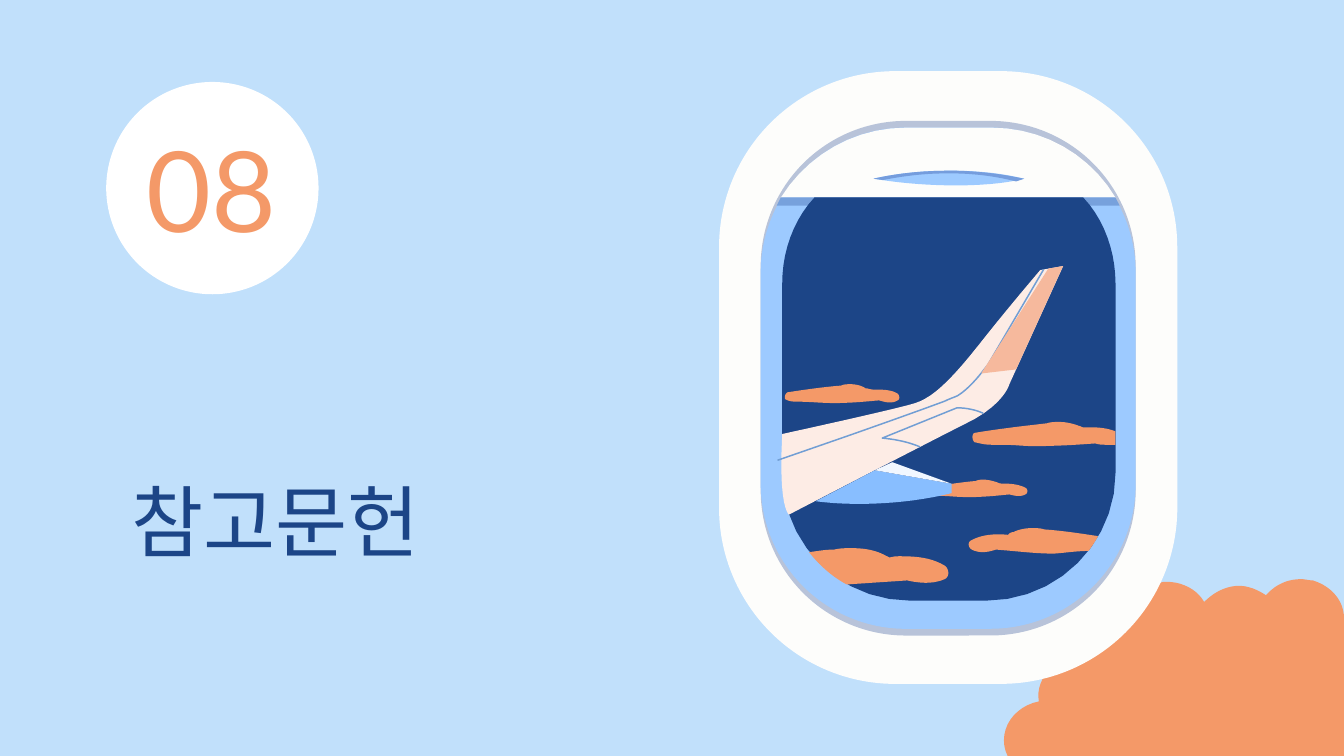
import dataclasses

import pptx
import pptx.dml.color
import pptx.enum.shapes
import pptx.enum.text
import pptx.oxml.ns
import pptx.util
import lxml.etree

Cm, Pt = pptx.util.Cm, pptx.util.Pt
MSO_SHAPE = pptx.enum.shapes.MSO_SHAPE
ANCHOR = pptx.enum.text.MSO_ANCHOR
ALIGN = pptx.enum.text.PP_ALIGN


@dataclasses.dataclass(frozen=True)
class Theme:
    background: str = "C1E0FB"
    white: str = "FFFFFF"
    frame: str = "FDFDFB"
    rim: str = "B8C3D9"
    pane: str = "9DCAFF"
    navy: str = "1C4587"
    blind_edge: str = "77A1DC"
    slot_shade: str = "759DDD"
    orange: str = "F49968"
    wing: str = "FDECE5"
    wing_tip: str = "F6B99D"
    seam: str = "719ED4"
    engine: str = "88BEFF"
    pylon: str = "F1F7FF"
    title_font: str = "Roboto"
    number_font: str = "Lato"
    title_size: int = 42
    number_size: int = 60
    seam_width: float = 0.8


THEME = Theme()
UNIT = 0.0254  # outlines are drawn on a grid of 0.0254 cm
CURVE_STEPS = 10

# Outlines: after M or L each point is a corner, after C three points make a curve
BIG_CLOUD = """M 968,431 C 958,431 949,435 942,443 936,439 929,436 922,436 912,436 903,441 896,448
    891,439 880,433 868,433 866,433 865,433 863,434 849,436 839,446 837,458
    831,453 823,451 816,451 809,451 802,453 796,457 784,466 781,481 788,493
    777,499 771,511 773,522 758,525 747,537 747,551 747,564 757,576 773,579
    L 1000,579 1000,458 C 999,446 990,436 977,432 974,432 971,431 968,431"""
SKY = """M 606,147 C 590,164 582,188 582,211 L 582,352 C 582,404 624,447 677,447 L 734,447
    C 787,447 830,404 830,352 L 830,211 C 830,188 822,164 806,147"""
BLIND = "M 674,95 C 636,95 601,115 581,147 L 830,147 C 811,115 776,95 738,95"
BLIND_EDGE = "M 581,147 L 578,153 833,153 830,147"
SLOT = """M 706,127 C 673,127 650,133 650,133 674,137 695,138 712,138
    745,138 762,133 762,133 742,128 722,127 706,127"""
SLOT_SHADE = """M 706,127 C 673,127 650,133 650,133 L 657,134 C 672,131 688,129 706,129
    724,129 740,131 756,135 L 762,133 C 743,129 725,127 706,127"""
CLOUD_LEFT = """M 633,286 C 630,286 628,286 626,287 613,288 599,290 586,292
    584,293 583,297 585,297.5 588,299 591,299 595,299 603,299 611,300 621,300
    632,300 643,299 654,298 658,299 663,301 668,298 670,297 669,294 668,293
    663,290 657,290 651,290 647,290 646,289 644,289 641,287 637,286 633,286"""
CLOUD_CENTRE = """M 732,357 C 730,357 728,357 726,358 714,359 702,361 690,363
    688,363 688,366 689,367 692,368 695,369 698,369 705,369 712,370 721,370
    731,370 741,369 751,368 755,369 759,370 763,368 765,367 765,364 763,363
    759,361 754,360 749,360 745,360 744,360 742,359 739,358 735,357 732,357"""
CLOUD_RIGHT = """M 788,314 C 785,314 782,314 779,315 762,317 744,319 726,322
    723,322 723,327 725,329 729,330 733,331 738,331 L 747,331 C 754,331 762,332 769,332
    786,332 801,331 815,330 818,331 821,331 824,331 L 830,331 830,321
    C 825,319 819,318 812,318 L 806,318 C 805,318 804,317 803,317 798,315 793,314 788,314"""
CLOUD_LOWER_LEFT = """M 634,408 C 629,408 625,408 621,409 615,409 609,410 602,411
    610,421 619,429 630,435 645,434 660,433 675,432 684,434 694,435 703,431
    707,429 706,423 703,421 693,415 682,414 670,414 668,414 665,414 662,415
    660,414 658,413 656,412 649,409 642,408 634,408"""
CLOUD_LOWER_RIGHT = """M 768,393 C 763,393 758,394 754,396 752,396 751,397 750,398
    740,397 730,398 723,402 720,403 720,407 723,409 729,412 735,411 741,409
    755,410 770,412 784,412 792,411.5 801,410 810,410 812,407 815,403 817,399
    804,397 791,395 777,394 774,393 771,393 768,393"""
WING = """M 791,198 L 774,201 C 774,201 750,229 728,257 705,286 693,296 681,300
    669,304 582,323 582,323 579,378 587,383 587,383 587,383 699,325 717,316
    747,302 751,286 751,286"""
WING_TIP = "M 791,198 L 780,200 730,278 756,275"
WING_SEAM = """M 776.5,200.5 L 735,271.5 C 732,275 723,288 712.5,294.5
    709,296 706,297 703,298.5 687,304.5 656,315.5 629,325 L 578.5,342.5"""
FLAP_SEAM = "M 684.5,332.5 C 676,329 667,327 656.5,326 L 712,303.5 C 719,303.5 726,305 731.5,307.5"
ENGINE = "M 651,350 L 607,373 C 607,373 620,375 639,375 659,375 684,373 708,367 L 708,360"
PYLON = "M 664,344 L 651,350 708,360"


def grid(v):
    return Cm(v * UNIT)


def rgb(value):
    return pptx.dml.color.RGBColor.from_string(value)


def set_all(obj, values):
    for name, value in values.items():
        setattr(obj, name, value)


def trace(outline):
    """Turn an outline into points, with each curve split into short lines."""
    points, curve, mode = [], [], "M"
    for token in outline.split():
        if token in "MLC":
            mode = token
            continue
        point = tuple(float(v) for v in token.split(","))
        if mode != "C":
            points.append(point)
            continue
        curve.append(point)
        if len(curve) == 3:
            corners = [points[-1]] + curve
            for i in range(1, CURVE_STEPS + 1):
                t = i / CURVE_STEPS
                weights = ((1 - t) ** 3, 3 * t * (1 - t) ** 2, 3 * t * t * (1 - t), t ** 3)
                points.append(tuple(sum(w * c[axis] for w, c in zip(weights, corners))
                                    for axis in (0, 1)))
            curve = []
    return [(grid(x), grid(y)) for x, y in points]


def paint(sp, color):
    sp.shadow.inherit = False
    sp.fill.solid()
    sp.fill.fore_color.rgb = rgb(color)
    sp.line.fill.background()


def add_outline(shapes, outline, color):
    start, *rest = trace(outline)
    builder = shapes.build_freeform(*start, scale=1.0)
    builder.add_line_segments(rest, close=True)
    paint(builder.convert_to_shape(), color)


def add_seam(shapes, outline):
    start, *rest = trace(outline)
    builder = shapes.build_freeform(*start, scale=1.0)
    builder.add_line_segments(rest, close=False)
    sp = builder.convert_to_shape()
    sp.shadow.inherit = False
    sp.fill.background()
    sp.line.color.rgb = rgb(THEME.seam)
    sp.line.width = Pt(THEME.seam_width)


def add_preset(shapes, kind, box, color, radius=None):
    sp = shapes.add_shape(kind, *map(grid, box))
    if radius:
        sp.adjustments[0] = radius / min(box[2:])
    paint(sp, color)


def add_label(shapes, box, text, anchor, align, font, size, color):
    tf = shapes.add_textbox(*map(grid, box)).text_frame
    margins = {f"margin_{side}": grid(10) for side in ("left", "top", "right", "bottom")}
    set_all(tf, {"word_wrap": True, "vertical_anchor": anchor, **margins})
    p = tf.paragraphs[0]
    p.alignment = align
    r = p.add_run()
    r.text = text
    set_all(r.font, {"name": font, "size": Pt(size)})
    r.font.color.rgb = rgb(color)
    # Korean letters take the East Asian font
    lxml.etree.SubElement(r.font._element, pptx.oxml.ns.qn("a:ea"), typeface=font)


def add_window(shapes):
    # Frame, rim and pane
    rounded = MSO_SHAPE.ROUNDED_RECTANGLE
    add_preset(shapes, rounded, (535, 53, 341, 456), THEME.frame, 131)
    add_preset(shapes, rounded, (566, 90, 279, 383), THEME.rim, 108)
    add_preset(shapes, rounded, (566, 95, 279, 373), THEME.pane, 108)
    # Blind, night sky and the clouds behind the wing
    for outline, color in (
        (BLIND, THEME.frame), (BLIND_EDGE, THEME.blind_edge), (SKY, THEME.navy),
        (SLOT, THEME.pane), (SLOT_SHADE, THEME.slot_shade),
        (CLOUD_LEFT, THEME.orange), (CLOUD_CENTRE, THEME.orange), (WING, THEME.wing),
    ):
        add_outline(shapes, outline, color)
    # Wing details
    add_seam(shapes, WING_SEAM)
    add_outline(shapes, WING_TIP, THEME.wing_tip)
    add_seam(shapes, FLAP_SEAM)
    add_outline(shapes, ENGINE, THEME.engine)
    add_outline(shapes, PYLON, THEME.pylon)
    # Clouds in front
    for outline in (CLOUD_RIGHT, CLOUD_LOWER_LEFT, CLOUD_LOWER_RIGHT):
        add_outline(shapes, outline, THEME.orange)


def main():
    prs = pptx.Presentation()
    set_all(prs, {"slide_width": Cm(25.4), "slide_height": Cm(14.29)})
    s = prs.slides.add_slide(prs.slide_layouts[6])
    s.background.fill.solid()
    s.background.fill.fore_color.rgb = rgb(THEME.background)

    # Illustration
    add_outline(s.shapes, BIG_CLOUD, THEME.orange)
    add_window(s.shapes.add_group_shape().shapes)

    # Section title and number
    add_label(s.shapes, (88, 340, 480, 92), "참고문헌", ANCHOR.BOTTOM, ALIGN.LEFT,
              THEME.title_font, THEME.title_size, THEME.navy)
    add_preset(s.shapes, MSO_SHAPE.OVAL, (79, 61, 158, 158), THEME.white)
    add_label(s.shapes, (88, 61, 139, 158), "08", ANCHOR.MIDDLE, ALIGN.CENTER,
              THEME.number_font, THEME.number_size, THEME.orange)

    prs.save("out.pptx")


if __name__ == "__main__":
    main()
